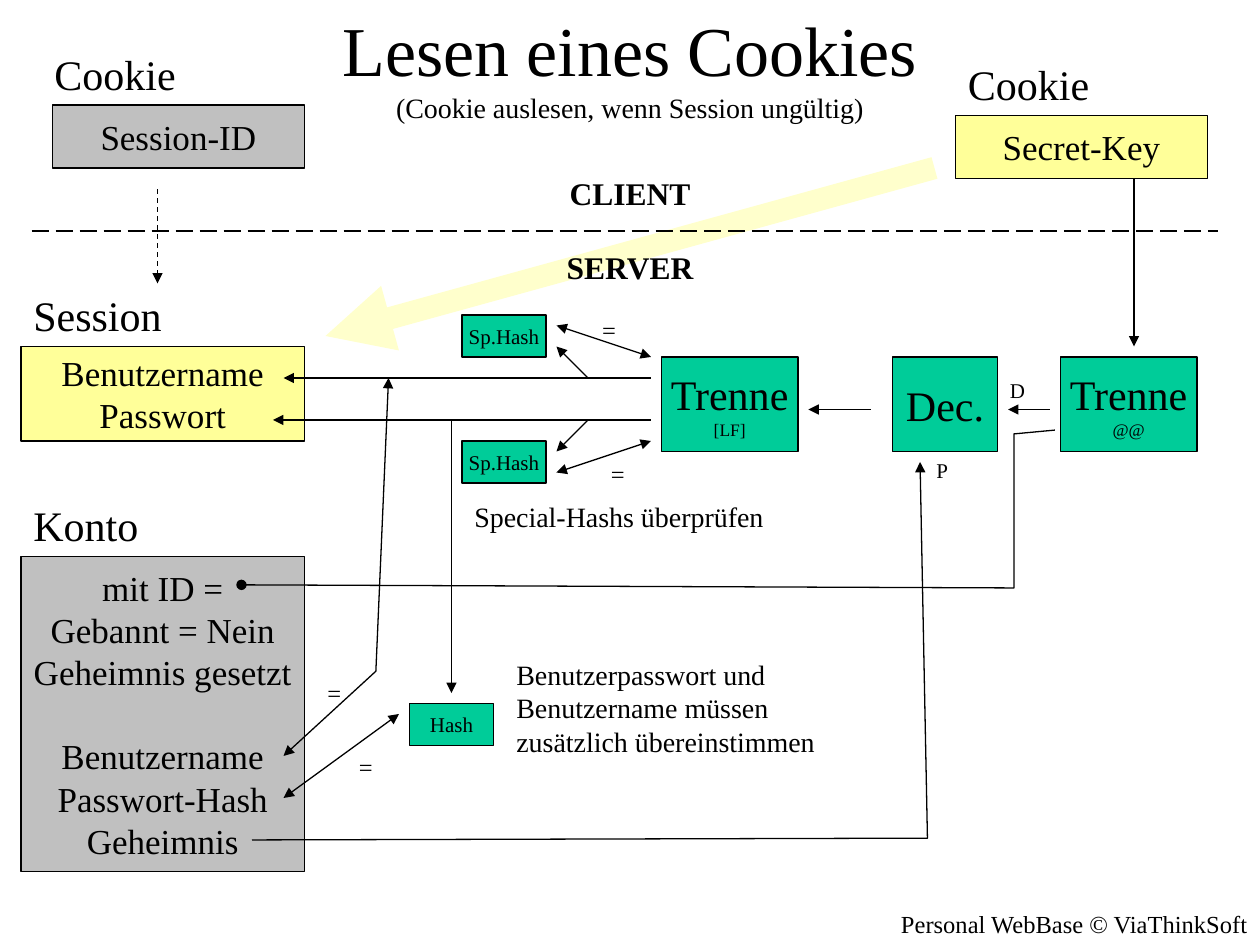
import pptx
import pptx.dml.color
import pptx.enum.dml
import pptx.enum.shapes
import pptx.enum.text
import pptx.oxml.ns
import pptx.util
from lxml import etree

Pt = pptx.util.Pt
ALIGN = pptx.enum.text.PP_ALIGN
DASH = pptx.enum.dml.MSO_LINE

FONT = "Times New Roman"
COLORS = {
    "black": "000000", "grey": "C0C0C0", "yellow": "FFFF99",
    "pale": "FFFFCC", "green": "00CC99",
}

# left, top, width, height, fill, lines of (text, size, space before)
BOXES = [
    (30, 60, 144, 36, "grey", [("Session-ID", 20, 0)]),
    (12, 198, 162, 54, "yellow", [("Benutzername", 20, 0), ("Passwort", 20, 0)]),
    (12, 318, 162, 180, "grey", [
        ("mit ID =", 20, 0), ("Gebannt = Nein", 20, 0), ("Geheimnis gesetzt", 20, 0),
        ("Benutzername", 20, 24), ("Passwort-Hash", 20, 0), ("Geheimnis", 20, 0),
    ]),
    (378, 204, 78, 54, "green", [("Trenne", 24, 0), ("[LF]", 10, 0)]),
    (510, 204, 60, 54, "green", [("Dec.", 24, 0)]),
    (606, 204, 78, 54, "green", [("Trenne", 24, 0), ("@@", 10, 0)]),
    (546, 66, 144, 36, "yellow", [("Secret-Key", 20, 0)]),
    (264, 180, 48, 24, "green", [("Sp.Hash", 12, 0)]),
    (264, 252, 48, 24, "green", [("Sp.Hash", 12, 0)]),
    (234, 402, 48, 24, "green", [("Hash", 12, 0)]),
]

# left, top, width, height, alignment, bold, lines of (text, size)
LABELS = [
    (24, 24, 114, 36, ALIGN.LEFT, False, [("Cookie", 24)]),
    (12, 282, 114, 36, ALIGN.LEFT, False, [("Konto", 24)]),
    (12, 162, 114, 36, ALIGN.LEFT, False, [("Session", 24)]),
    (546, 30, 114, 36, ALIGN.LEFT, False, [("Cookie", 24)]),
    (570, 212.4, 24, 21.6, ALIGN.LEFT, False, [("D", 12)]),
    (528, 257.8, 24, 21.6, ALIGN.LEFT, False, [("P", 12)]),
    (180, 0, 360, 75, ALIGN.CENTER, False,
     [("Lesen eines Cookies", 40), ("(Cookie auslesen, wenn Session ungültig)", 16)]),
    (336, 516, 384, 24.5, ALIGN.RIGHT, False, [("Personal WebBase © ViaThinkSoft", 14)]),
    (294, 138, 132, 28.8, ALIGN.CENTER, True, [("SERVER", 18)]),
    (294, 96, 132, 28.8, ALIGN.CENTER, True, [("CLIENT", 18)]),
    (288, 372, 192, 65, ALIGN.LEFT, False,
     [("Benutzerpasswort und", 16), ("Benutzername müssen", 16),
      ("zusätzlich übereinstimmen", 16)]),
    (264, 282, 240, 26.6, ALIGN.LEFT, False, [("Special-Hashs überprüfen", 16)]),
]
EQUALS_SIGNS = [(342, 258.5), (337, 176.4), (180, 384), (198, 426)]
LABELS += [(left, top, 24, 24.5, ALIGN.LEFT, False, [("=", 14)])
           for left, top in EQUALS_SIGNS]

# start, end, head, tail, dash
LINES = [
    ((162, 216), (372, 216), "triangle", None, None),
    ((156, 240), (372, 240), "triangle", None, None),
    ((18, 132), (696, 132), None, None, DASH.LONG_DASH),
    ((462, 234), (498, 234), "triangle", None, None),
    ((576, 234), (600, 234), "triangle", None, None),
    ((90, 108), (90, 162), None, "triangle", DASH.DASH),
    ((336, 216), (318, 198), None, "triangle", None),
    ((336, 240), (318, 258), None, "triangle", None),
    ((318, 186), (372, 204), "triangle", "triangle", None),
    ((318, 270), (372, 252), "triangle", "triangle", None),
    ((648, 198), (648, 102), "triangle", None, None),
    ((258, 240), (258, 396), None, "triangle", None),
    ((162, 456), (228, 408), "triangle", "triangle", None),
]

# points, head, tail
BENT_LINES = [
    ([(144, 480), (530, 479), (525.75, 264)], None, "triangle"),
    ([(138, 334.25), (579.4, 336), (579.4, 248), (602.8, 245.8)], "oval", None),
    ([(162, 432), (214.8, 383.6), (222, 216)], "triangle", "triangle"),
]


def rgb(name):
    return pptx.dml.color.RGBColor.from_string(COLORS[name])


def add_run(paragraph, text, size, bold=False):
    run = paragraph.add_run()
    run.text = text
    run.font.name = FONT
    run.font.size = Pt(size)
    run.font.bold = bold
    run.font.color.rgb = rgb("black")


def style_line(shape, color="black", width=0.75, head=None, tail=None, dash=None):
    line = shape.line
    line.color.rgb = rgb(color)
    line.width = Pt(width)
    if dash is not None:
        line.dash_style = dash
    properties = shape._element.spPr
    outline = properties.find(pptx.oxml.ns.qn("a:ln"))
    for tag, kind in (("a:headEnd", head), ("a:tailEnd", tail)):
        if kind:
            etree.SubElement(outline, pptx.oxml.ns.qn(tag), type=kind)


def add_line(shapes, start, end, **style):
    connector = shapes.add_connector(
        pptx.enum.shapes.MSO_CONNECTOR.STRAIGHT, *map(Pt, start + end))
    style_line(connector, **style)
    etree.SubElement(connector._element.spPr, pptx.oxml.ns.qn("a:effectLst"))


def add_bent_line(shapes, points, head, tail):
    start, *rest = [tuple(map(Pt, point)) for point in points]
    builder = shapes.build_freeform(*start)
    builder.add_line_segments(rest, close=False)
    shape = builder.convert_to_shape()
    shape.shadow.inherit = False
    shape.fill.background()
    style_line(shape, head=head, tail=tail)


def add_box(shapes, left, top, width, height, fill, lines):
    shape = shapes.add_shape(
        pptx.enum.shapes.MSO_SHAPE.RECTANGLE, Pt(left), Pt(top), Pt(width), Pt(height))
    shape.shadow.inherit = False
    shape.fill.solid()
    shape.fill.fore_color.rgb = rgb(fill)
    style_line(shape)
    frame = shape.text_frame
    frame.word_wrap = False
    frame.vertical_anchor = pptx.enum.text.MSO_ANCHOR.MIDDLE
    for index, (text, size, space) in enumerate(lines):
        paragraph = frame.add_paragraph() if index else frame.paragraphs[0]
        paragraph.alignment = ALIGN.CENTER
        if space:
            paragraph.space_before = Pt(space)
        add_run(paragraph, text, size)


def add_label(shapes, left, top, width, height, alignment, bold, lines):
    frame = shapes.add_textbox(Pt(left), Pt(top), Pt(width), Pt(height)).text_frame
    frame.word_wrap = True
    frame.auto_size = pptx.enum.text.MSO_AUTO_SIZE.SHAPE_TO_FIT_TEXT
    paragraph = frame.paragraphs[0]
    paragraph.alignment = alignment
    for index, (text, size) in enumerate(lines):
        if index:
            paragraph.add_line_break()
        add_run(paragraph, text, size, bold)


def main():
    presentation = pptx.Presentation()
    presentation.slide_width = Pt(720)
    presentation.slide_height = Pt(540)
    shapes = presentation.slides.add_slide(presentation.slide_layouts[6]).shapes
    add_line(shapes, (186, 192), (534, 96), color="pale", width=12.75, head="triangle")
    for box in BOXES:
        add_box(shapes, *box)
    for start, end, head, tail, dash in LINES:
        width = 1.25 if dash == DASH.LONG_DASH else 0.75
        add_line(shapes, start, end, width=width, head=head, tail=tail, dash=dash)
    for bent_line in BENT_LINES:
        add_bent_line(shapes, *bent_line)
    for label in LABELS:
        add_label(shapes, *label)
    presentation.save("out.pptx")


if __name__ == "__main__":
    main()
